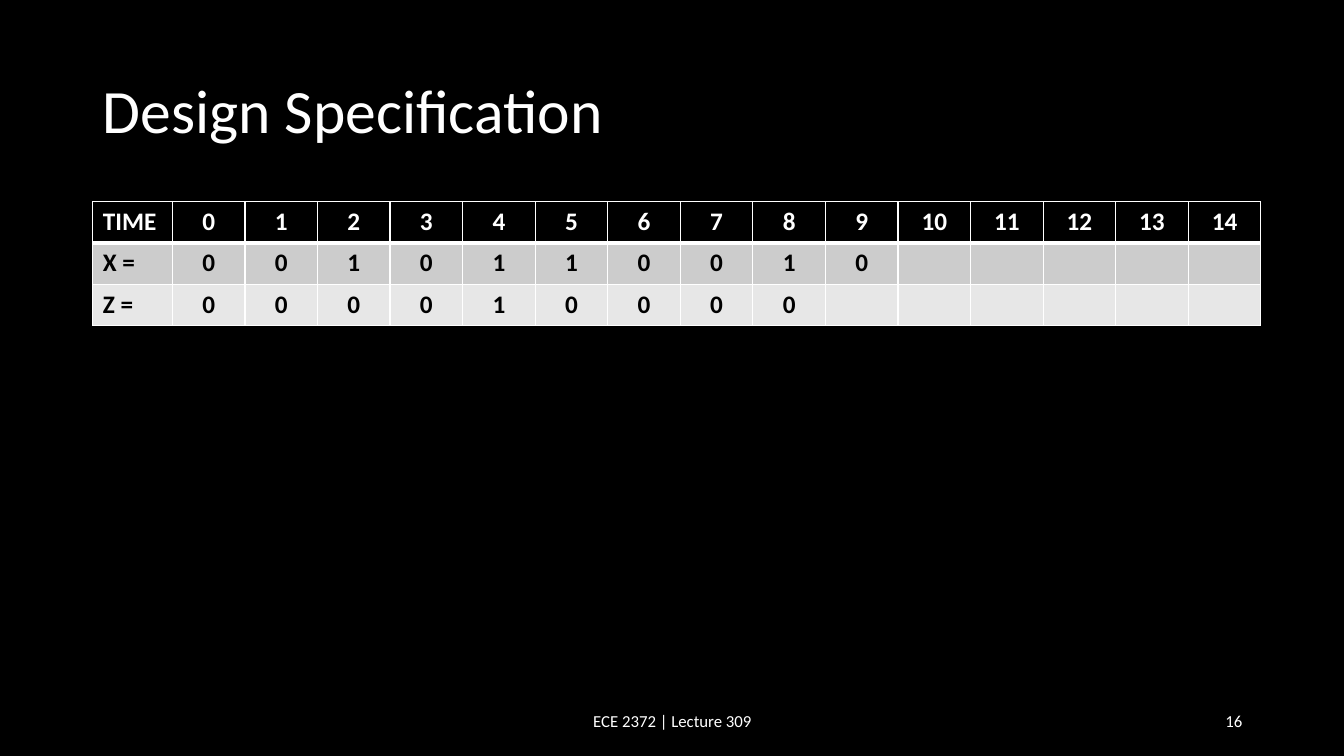
import pptx
import pptx.util
import pptx.dml.color
import pptx.enum.text
import pptx.oxml
import pptx.oxml.ns

Inches = pptx.util.Inches
Pt = pptx.util.Pt
ALIGN = pptx.enum.text.PP_ALIGN
MIDDLE = pptx.enum.text.MSO_ANCHOR.MIDDLE
FIXED = pptx.enum.text.MSO_AUTO_SIZE.NONE

HUES = {"black": "000000", "white": "FFFFFF", "mid": "CCCCCC", "pale": "E7E7E7"}
ROWS = [
    ["TIME", *map(str, range(15))],
    ["X =", *"0010110010"],
    ["Z =", *"000010000"],
]
LOOKS = [("black", "white"), ("mid", "black"), ("pale", "black")]


def put(item, form):
    for name, value in form.items():
        setattr(item, name, value)


class Deck:
    font = "Calibri"

    def __init__(self):
        self.file = pptx.Presentation()
        put(self.file, {"slide_width": Inches(13.33), "slide_height": Inches(7.5)})
        self.slide = self.file.slides.add_slide(self.file.slide_layouts[5])
        self.paint(self.slide.background.fill, "black")

    def hue(self, name):
        return pptx.dml.color.RGBColor.from_string(HUES[name])

    def paint(self, fill, name):
        fill.solid()
        fill.fore_color.rgb = self.hue(name)

    def letter(self, frame, text, size, hue, align, bold=False):
        par = frame.paragraphs[0]
        put(par, {"text": text, "alignment": align})
        put(par.font, {"size": Pt(size), "name": self.font, "bold": bold})
        par.font.color.rgb = self.hue(hue)
        return par

    def title(self, text, box):
        shape = self.slide.shapes.title
        put(shape, dict(zip(("left", "top", "width", "height"), map(Inches, box))))
        put(shape.text_frame, {"vertical_anchor": MIDDLE, "word_wrap": True, "auto_size": FIXED})
        par = self.letter(shape.text_frame, text, 44, "white", ALIGN.LEFT)
        par.line_spacing = 0.9

    def label(self, text, box, align):
        frame = self.slide.shapes.add_textbox(*map(Inches, box)).text_frame
        put(frame, {"vertical_anchor": MIDDLE, "word_wrap": True})
        self.letter(frame, text, 12, "white", align)

    def edge(self, cell, side, width):
        space = pptx.oxml.ns.nsdecls("a")
        cell._tc.get_or_add_tcPr().append(pptx.oxml.parse_xml(
            f'<a:ln{side} {space} w="{Pt(width)}"><a:solidFill>'
            f'<a:srgbClr val="{HUES["white"]}"/></a:solidFill></a:ln{side}>'))

    def table(self, rows, looks, box):
        count = len(rows[0])
        grid = self.slide.shapes.add_table(len(rows), count, *map(Inches, box)).table
        for col, line in enumerate(grid.columns):
            line.width = Inches(0.72 if col else 0.79)
        for row, (texts, (fill, ink)) in enumerate(zip(rows, looks)):
            grid.rows[row].height = Inches(0.41)
            texts = texts + [""] * (count - len(texts))
            for col, text in enumerate(texts):
                cell = grid.cell(row, col)
                widths = {"L": 1, "R": 1, "T": 3 if row == 1 else 1, "B": 1 if row else 3}
                for side, width in widths.items():
                    self.edge(cell, side, width)
                self.paint(cell.fill, fill)
                align = ALIGN.CENTER if col else ALIGN.LEFT
                self.letter(cell.text_frame, text, 18, ink, align, True)


def main():
    deck = Deck()
    deck.title("Design Specification", (0.92, 0.4, 11.5, 1.45))
    deck.table(ROWS, LOOKS, (0.92, 2, 11.57, 1.22))
    deck.label("ECE 2372 | Lecture 309", (4.42, 6.95, 4.5, 0.4), ALIGN.CENTER)
    deck.label("16", (9.42, 6.95, 3, 0.4), ALIGN.RIGHT)
    deck.file.save("out.pptx")


if __name__ == "__main__":
    main()
